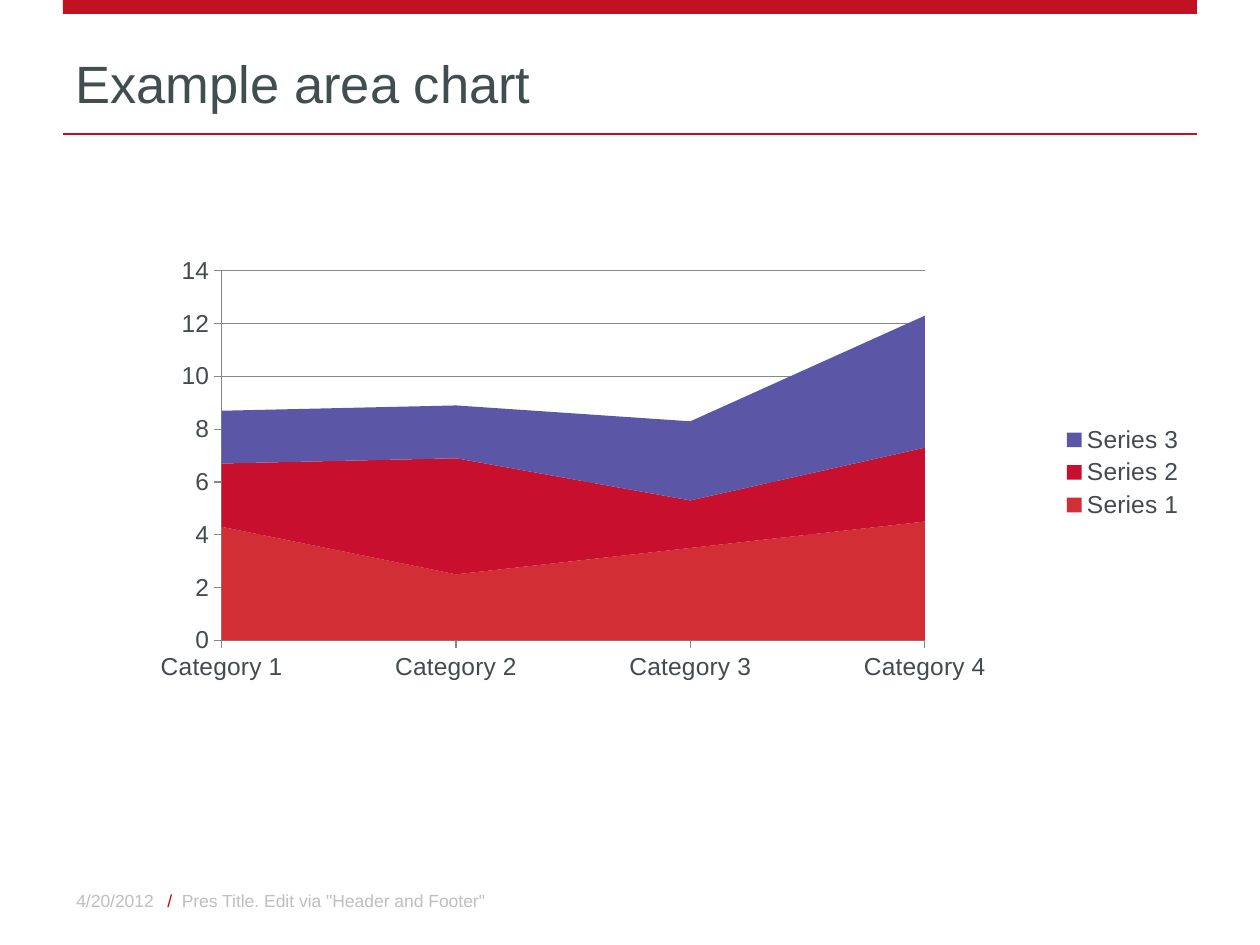
from lxml.etree import SubElement
from pptx import Presentation
from pptx.chart.data import CategoryChartData
from pptx.dml.color import RGBColor
from pptx.enum.chart import XL_CHART_TYPE, XL_LEGEND_POSITION, XL_TICK_MARK
from pptx.enum.shapes import MSO_CONNECTOR, MSO_SHAPE
from pptx.enum.text import MSO_ANCHOR, MSO_AUTO_SIZE, PP_ALIGN
from pptx.oxml.ns import qn
from pptx.util import Pt

RED, SLATE, CHARCOAL = "BF1223", "404E50", "444A50"
SLASH_RED, PALE_GREY, AXIS_GREY = "CC0000", "BFBFBF", "878787"
CATEGORIES = ["Category 1", "Category 2", "Category 3", "Category 4"]
SERIES = [
    ("Series 1", [4.3, 2.5, 3.5, 4.5], "D12E36"),
    ("Series 2", [2.4, 4.4, 1.8, 2.8], "C8102E"),
    ("Series 3", [2, 2, 3, 5], "5B57A6"),
]
PLOT_LAYOUT = {"x": 0.14, "y": 0.14, "w": 0.62, "h": 0.66}


def color(hex_code):
    return RGBColor.from_string(hex_code)


def apply_format(target, values):
    for name, value in values.items():
        setattr(target, name, value)


def format_font(font, size, hex_code):
    apply_format(font, {"name": "Arial", "size": Pt(size)})
    font.color.rgb = color(hex_code)


def format_line(line, width, hex_code):
    line.width = Pt(width)
    line.color.rgb = color(hex_code)


def place(shape, box):
    names = ("left", "top", "width", "height")
    apply_format(shape, dict(zip(names, map(Pt, box))))


def fill_text(shape, spans, size, anchor, align=PP_ALIGN.LEFT):
    """Write one paragraph from (text, colour) spans."""
    frame = shape.text_frame
    apply_format(frame, {"word_wrap": True, "auto_size": MSO_AUTO_SIZE.NONE,
                         "vertical_anchor": anchor})
    para = frame.paragraphs[0]
    para.alignment = align
    for text, hex_code in spans:
        span = para.add_run()
        span.text = text
        format_font(span.font, size, hex_code)


def add_header(page, box, title):
    left, top, width, height = box
    bar = page.shapes.add_shape(MSO_SHAPE.RECTANGLE, Pt(left), Pt(top), Pt(width), Pt(8))
    bar.shadow.inherit = False
    bar.fill.solid()
    bar.fill.fore_color.rgb = color(RED)
    bar.line.fill.background()

    bottom = top + height
    rule = page.shapes.add_connector(
        MSO_CONNECTOR.STRAIGHT, Pt(left), Pt(bottom), Pt(left + width), Pt(bottom))
    format_line(rule.line, 1, RED)
    SubElement(rule._element.spPr, qn("a:effectLst"))

    place(page.shapes.title, (left, top + 20, width, 49))
    fill_text(page.shapes.title, [(title, SLATE)], 30, MSO_ANCHOR.BOTTOM)


def add_footer(page, box, date, label):
    left, top, width, height = box
    date_width, overlap = 83.5, 6.5
    date_box = page.shapes.add_textbox(Pt(left), Pt(top), Pt(date_width), Pt(height))
    fill_text(date_box, [(date, PALE_GREY)], 10, MSO_ANCHOR.MIDDLE, PP_ALIGN.RIGHT)
    offset = date_width - overlap
    label_box = page.shapes.add_textbox(
        Pt(left + offset), Pt(top), Pt(width - offset), Pt(height))
    fill_text(label_box, [("/ ", SLASH_RED), (" " + label, PALE_GREY)],
              10, MSO_ANCHOR.MIDDLE)


def fix_plot_area(chart):
    """Pin the inner plot area and start the areas on the value axis."""
    plot_area = chart._chartSpace.chart.plotArea
    for old in plot_area.findall(qn("c:layout")):
        plot_area.remove(old)
    layout = SubElement(plot_area, qn("c:layout"))
    plot_area.insert(0, layout)
    manual = SubElement(layout, qn("c:manualLayout"))
    settings = {"layoutTarget": "inner", "xMode": "edge", "yMode": "edge", **PLOT_LAYOUT}
    for name, value in settings.items():
        SubElement(manual, qn(f"c:{name}")).set("val", str(value))
    for crossing in plot_area.iter(qn("c:crossBetween")):
        crossing.set("val", "midCat")


def add_area_chart(page, box):
    data = CategoryChartData()
    data.categories = CATEGORIES
    for name, values, _ in SERIES:
        data.add_series(name, values)
    chart = page.shapes.add_chart(
        XL_CHART_TYPE.AREA_STACKED, *map(Pt, box), data).chart
    apply_format(chart, {"has_title": False, "has_legend": True})
    format_font(chart.font, 18, CHARCOAL)
    chart.plots[0].vary_by_categories = False
    for series, (_, _, hex_code) in zip(chart.plots[0].series, SERIES):
        series.format.fill.solid()
        series.format.fill.fore_color.rgb = color(hex_code)

    for axis, has_grid in ((chart.category_axis, False), (chart.value_axis, True)):
        apply_format(axis, {"major_tick_mark": XL_TICK_MARK.OUTSIDE,
                            "minor_tick_mark": XL_TICK_MARK.NONE,
                            "has_major_gridlines": has_grid})
        format_font(axis.tick_labels.font, 14, CHARCOAL)
        format_line(axis.format.line, 0.75, AXIS_GREY)
    format_line(chart.value_axis.major_gridlines.format.line, 0.75, AXIS_GREY)
    apply_format(chart.value_axis, {"minimum_scale": 0, "maximum_scale": 14, "major_unit": 2})

    apply_format(chart.legend, {"position": XL_LEGEND_POSITION.RIGHT,
                                "include_in_layout": False})
    format_font(chart.legend.font, 14, CHARCOAL)
    fix_plot_area(chart)


def main():
    deck = Presentation()
    apply_format(deck, {"slide_width": Pt(720), "slide_height": Pt(540)})
    page = deck.slides.add_slide(deck.slide_layouts.get_by_name("Title Only"))
    add_header(page, (36, 0, 648, 76.5), "Example area chart")
    add_area_chart(page, (36, 110, 648, 320))
    add_footer(page, (11.5, 500.5, 305, 28.5), "4/20/2012",
               'Pres Title. Edit via "Header and Footer"')
    deck.save("out.pptx")


if __name__ == "__main__":
    main()
